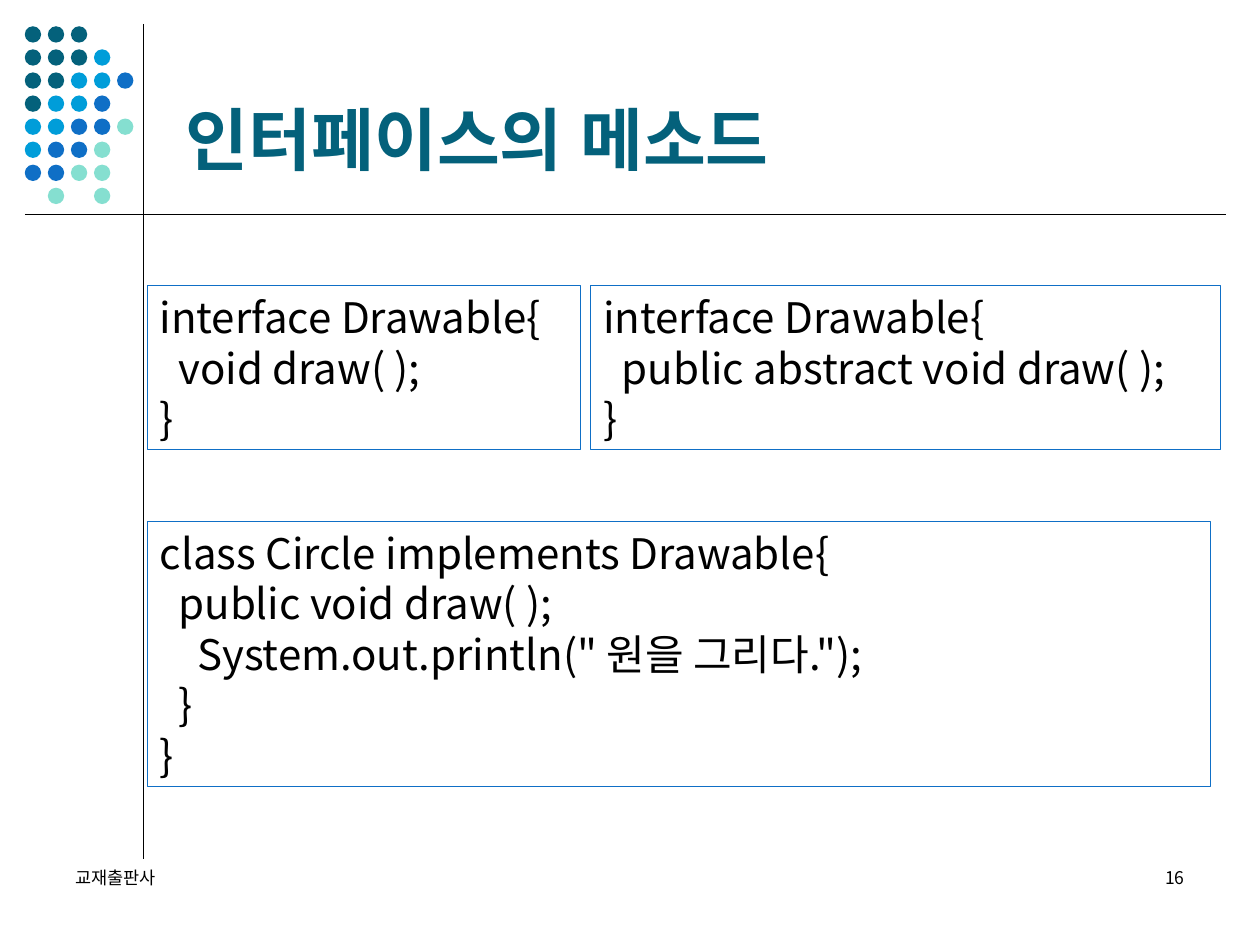
from lxml.etree import SubElement
from pptx import Presentation
from pptx.dml.color import RGBColor
from pptx.enum.shapes import MSO_CONNECTOR, MSO_SHAPE
from pptx.enum.text import MSO_ANCHOR, PP_ALIGN
from pptx.oxml.ns import qn
from pptx.util import Cm, Pt

BLACK = RGBColor(0x00, 0x00, 0x00)
TEAL = RGBColor(0x04, 0x61, 0x7B)
SKY = RGBColor(0x00, 0x9D, 0xD9)
BLUE = RGBColor(0x0F, 0x6F, 0xC6)
MINT = RGBColor(0x85, 0xDF, 0xD0)

BODY_FONT = "Noto Sans CJK KR"
TITLE_FONT = "Open Sans"

TITLE = "인터페이스의 메소드"
PUBLISHER = "교재출판사"
PAGE_NUMBER = "16"

DOT_COLORS = {"T": TEAL, "S": SKY, "B": BLUE, "M": MINT}
DOT_ROWS = ["TTT", "TTTS", "TTSSB", "TSSB", "SSBBM", "SBBM", "BBMM", " M M"]
DOT_LEFT, DOT_TOP, DOT_STEP, DOT_SIZE = 0.5, 0.53, 0.465, 0.33

RULES = [(2.89, 0.48, 2.89, 17.32), (0.5, 4.32, 24.71, 4.32)]

CODE_BOXES = [
    ((2.97, 5.76, 8.74, 3.3), [
        "interface Drawable{",
        "  void draw( );",
        "}",
    ]),
    ((11.91, 5.76, 12.7, 3.3), [
        "interface Drawable{",
        "  public abstract void draw( );",
        "}",
    ]),
    ((2.97, 10.51, 21.43, 5.34), [
        "class Circle implements Drawable{",
        "  public void draw( );",
        "    System.out.println(\" 원을 그리다.\");",
        "  }",
        "}",
    ]),
]


def write_lines(shape, lines, size, font_name=BODY_FONT, color=BLACK, bold=False,
                align=PP_ALIGN.LEFT, anchor=MSO_ANCHOR.TOP, spacing=None):
    frame = shape.text_frame
    frame.word_wrap = True
    frame.vertical_anchor = anchor
    for index, line in enumerate(lines):
        paragraph = frame.add_paragraph() if index else frame.paragraphs[0]
        paragraph.alignment = align
        if spacing:
            paragraph.line_spacing = spacing
        run = paragraph.add_run()
        run.text = line
        run.font.size = Pt(size)
        run.font.bold = bold
        run.font.color.rgb = color
        run.font.name = font_name
        east_asian = SubElement(run.font._element, qn("a:ea"))
        east_asian.set("typeface", font_name)


def add_text(slide, box, text, size, **style):
    shape = slide.shapes.add_textbox(*map(Cm, box))
    write_lines(shape, [text], size, **style)


def add_dots(slide):
    for row, letters in enumerate(DOT_ROWS):
        for column, letter in enumerate(letters):
            if letter == " ":
                continue
            dot = slide.shapes.add_shape(
                MSO_SHAPE.OVAL,
                Cm(DOT_LEFT + column * DOT_STEP), Cm(DOT_TOP + row * DOT_STEP),
                Cm(DOT_SIZE), Cm(DOT_SIZE))
            dot.shadow.inherit = False
            dot.fill.solid()
            dot.fill.fore_color.rgb = DOT_COLORS[letter]
            dot.line.fill.background()


def add_rule(slide, ends):
    rule = slide.shapes.add_connector(MSO_CONNECTOR.STRAIGHT, *map(Cm, ends))
    rule.line.color.rgb = BLACK
    rule.line.width = Pt(0.75)
    SubElement(rule._element.spPr, qn("a:effectLst"))


def add_code_box(slide, box, lines):
    shape = slide.shapes.add_shape(MSO_SHAPE.RECTANGLE, *map(Cm, box))
    shape.shadow.inherit = False
    shape.fill.background()
    shape.line.color.rgb = BLUE
    shape.line.width = Pt(0.75)
    write_lines(shape, lines, 24, spacing=Pt(28.8))


def main():
    presentation = Presentation()
    presentation.slide_width, presentation.slide_height = Cm(25.4), Cm(19.05)
    slide = presentation.slides.add_slide(presentation.slide_layouts[6])
    add_dots(slide)
    for ends in RULES:
        add_rule(slide, ends)
    add_text(slide, (3.5, 0.53, 20.96, 3.2), TITLE, 39, font_name=TITLE_FONT,
             color=TEAL, bold=True, anchor=MSO_ANCHOR.BOTTOM)
    add_text(slide, (1.27, 17.35, 5.92, 1.27), PUBLISHER, 10)
    add_text(slide, (18.21, 17.35, 5.92, 1.27), PAGE_NUMBER, 10, align=PP_ALIGN.RIGHT)
    for box, lines in CODE_BOXES:
        add_code_box(slide, box, lines)
    presentation.save("out.pptx")


if __name__ == "__main__":
    main()
